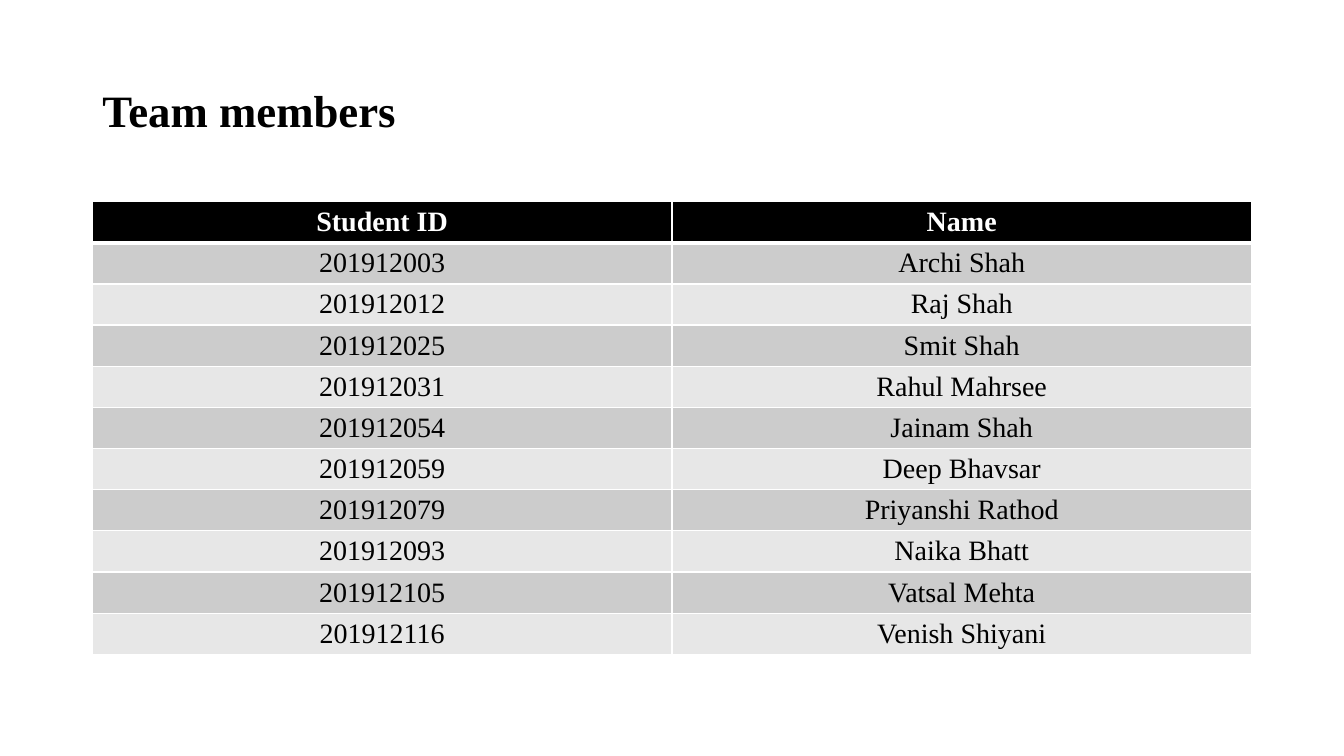
import lxml.etree
import pptx
import pptx.dml.color
import pptx.enum.text
import pptx.oxml.ns
import pptx.util

Pt = pptx.util.Pt
ALIGN = pptx.enum.text.PP_ALIGN
MIDDLE = pptx.enum.text.MSO_ANCHOR.MIDDLE

COLORS = {
    "black": "000000",
    "white": "FFFFFF",
    "dark band": "CCCCCC",
    "light band": "E7E7E7",
}

HEADER = ("Student ID", "Name")
MEMBERS = [
    ("201912003", "Archi Shah"),
    ("201912012", "Raj Shah"),
    ("201912025", "Smit Shah"),
    ("201912031", "Rahul Mahrsee"),
    ("201912054", "Jainam Shah"),
    ("201912059", "Deep Bhavsar"),
    ("201912079", "Priyanshi Rathod"),
    ("201912093", "Naika Bhatt"),
    ("201912105", "Vatsal Mehta"),
    ("201912116", "Venish Shiyani"),
]


def rgb(color):
    return pptx.dml.color.RGBColor.from_string(COLORS[color])


def write_text(text_frame, text, *, font, size, color="black", bold=False,
               align=ALIGN.LEFT, line_spacing=1.0):
    paragraph = text_frame.paragraphs[0]
    paragraph.alignment = align
    paragraph.line_spacing = line_spacing
    run = paragraph.add_run()
    run.text = text
    run.font.name = font
    run.font.size = Pt(size)
    run.font.bold = bold
    run.font.color.rgb = rgb(color)


def add_borders(cell, color, widths):
    """Draw the cell's edges; widths maps L, R, T and B to points."""
    qn = pptx.oxml.ns.qn
    properties = cell._tc.get_or_add_tcPr()
    for edge, width in widths.items():
        line = lxml.etree.SubElement(properties, qn(f"a:ln{edge}"), w=str(Pt(width)))
        fill = lxml.etree.SubElement(line, qn("a:solidFill"))
        lxml.etree.SubElement(fill, qn("a:srgbClr"), val=COLORS[color])


class SlideBuilder:
    font = "Times New Roman"
    title_size = 32
    table_size = 20
    cell_margin = 3

    def __init__(self, slide):
        self.slide = slide

    def title(self, text, left, top, width, height):
        shape = self.slide.shapes.title
        shape.left, shape.top = Pt(left), Pt(top)
        shape.width, shape.height = Pt(width), Pt(height)
        shape.text_frame.vertical_anchor = MIDDLE
        shape.text_frame.auto_size = pptx.enum.text.MSO_AUTO_SIZE.NONE
        write_text(shape.text_frame, text, font=self.font, size=self.title_size,
                   bold=True, line_spacing=0.9)

    def table(self, rows, left, top, width, row_height):
        table = self.slide.shapes.add_table(
            len(rows), len(rows[0]), Pt(left), Pt(top),
            Pt(width), Pt(row_height * len(rows))).table
        table.horz_banding = False
        for row_index, values in enumerate(rows):
            table.rows[row_index].height = Pt(row_height)
            for column_index, value in enumerate(values):
                self.cell(table.cell(row_index, column_index), value, row_index)

    def cell(self, cell, text, row_index):
        is_header = row_index == 0
        band = "dark band" if row_index % 2 else "light band"
        add_borders(cell, "white", {"L": 1, "R": 1, "T": 3 if row_index == 1 else 1,
                                    "B": 3 if is_header else 1})
        cell.fill.solid()
        cell.fill.fore_color.rgb = rgb("black" if is_header else band)
        cell.margin_top = cell.margin_bottom = Pt(self.cell_margin)
        cell.vertical_anchor = MIDDLE
        write_text(cell.text_frame, text, font=self.font, size=self.table_size,
                   color="white" if is_header else "black", bold=is_header,
                   align=ALIGN.CENTER)


# Slide
presentation = pptx.Presentation()
presentation.slide_width, presentation.slide_height = Pt(960), Pt(540)
title_only = presentation.slide_layouts.get_by_name("Title Only")
builder = SlideBuilder(presentation.slides.add_slide(title_only))

# Heading
builder.title("Team members", left=66, top=28.8, width=828, height=104.4)

# Table of members
builder.table([HEADER, *MEMBERS], left=66, top=144, width=828, row_height=29.4)

presentation.save("out.pptx")
